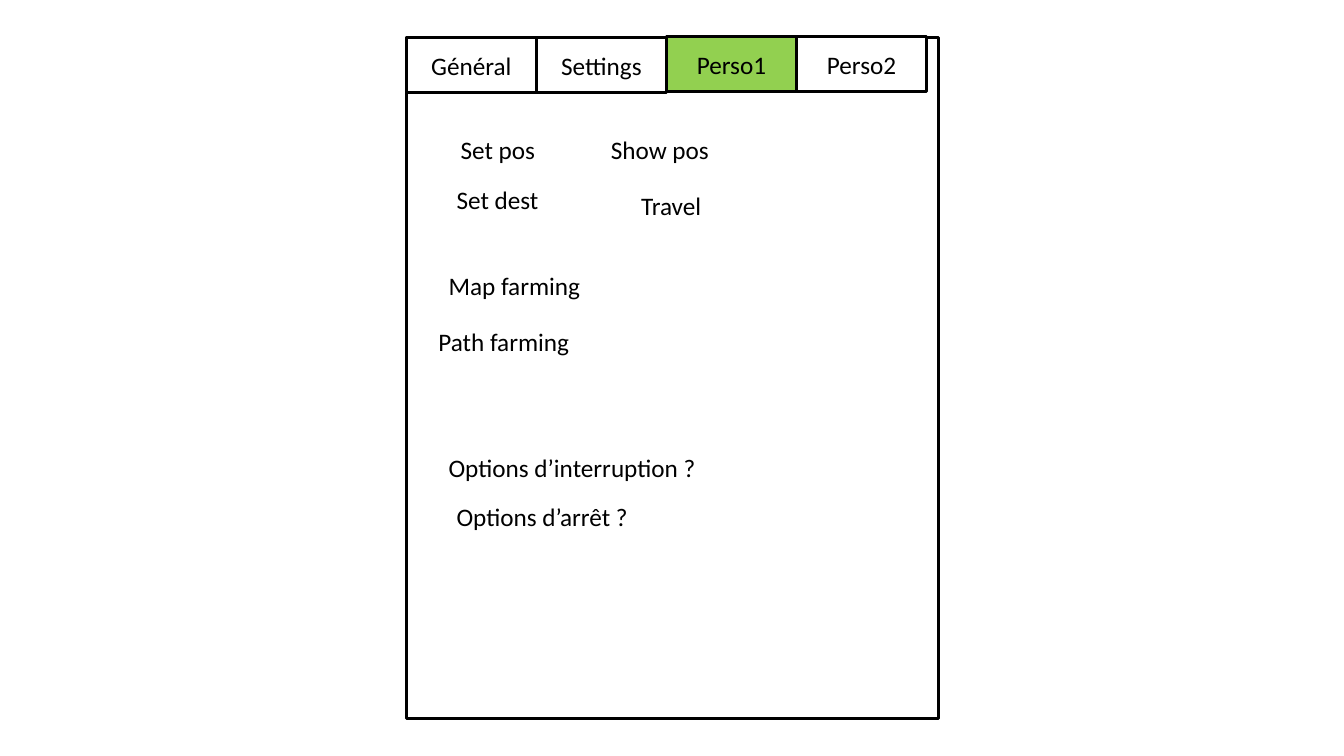
from dataclasses import dataclass

from pptx import Presentation
from pptx.dml.color import RGBColor
from pptx.enum.shapes import MSO_SHAPE
from pptx.enum.text import MSO_ANCHOR, MSO_AUTO_SIZE, PP_ALIGN
from pptx.shapes.autoshape import Shape
from pptx.slide import Slide
from pptx.text.text import TextFrame
from pptx.util import Inches, Pt

RECTANGLE = MSO_SHAPE.RECTANGLE
MIDDLE = MSO_ANCHOR.MIDDLE
CENTER, LEFT = PP_ALIGN.CENTER, PP_ALIGN.LEFT
FIT_TEXT, NO_FIT = MSO_AUTO_SIZE.SHAPE_TO_FIT_TEXT, MSO_AUTO_SIZE.NONE


@dataclass(frozen=True)
class Theme:
    font: str = "Calibri"
    size: Pt = Pt(18)
    border: Pt = Pt(2.25)
    ink: RGBColor = RGBColor(0, 0, 0)
    paper: RGBColor = RGBColor(255, 255, 255)
    active: RGBColor = RGBColor(0x92, 0xD0, 0x50)


@dataclass(frozen=True)
class Tab:
    name: str
    top: float
    active: bool = False


@dataclass(frozen=True)
class Label:
    text: str
    left: float
    top: float
    width: float


THEME = Theme()
WINDOW_LEFT, WINDOW_TOP, WINDOW_WIDTH, WINDOW_HEIGHT = 4.03, 0.37, 5.28, 6.76
TAB_WIDTH, TAB_HEIGHT = 1.29, 0.55
LABEL_HEIGHT = 0.4

TABS = [
    Tab("Général", 0.37),
    Tab("Settings", 0.37),
    Tab("Perso1", 0.36, active=True),
    Tab("Perso2", 0.36),
]
LABELS = [
    Label("Set pos", 4.47, 1.28, 0.95),
    Label("Show pos", 5.96, 1.28, 1.19),
    Label("Set dest", 4.43, 1.78, 1.02),
    Label("Travel", 6.26, 1.84, 0.8),
    Label("Map farming", 4.35, 2.63, 1.52),
    Label("Path farming", 4.25, 3.19, 1.51),
    Label("Options d’interruption ?", 4.35, 4.44, 2.68),
    Label("Options d’arrêt ?", 4.43, 4.92, 1.92),
]


def write(frame: TextFrame, text: str, align: PP_ALIGN) -> None:
    para = frame.paragraphs[0]
    para.text = text
    para.alignment = align
    para.font.name = THEME.font
    para.font.size = THEME.size
    para.font.color.rgb = THEME.ink


def add_frame(page: Slide, left: float, top: float, width: float, height: float) -> Shape:
    box = page.shapes.add_shape(
        RECTANGLE, Inches(left), Inches(top), Inches(width), Inches(height)
    )
    box.shadow.inherit = False
    box.fill.background()
    box.line.color.rgb = THEME.ink
    box.line.width = THEME.border
    return box


def add_tab(page: Slide, tab: Tab, left: float) -> None:
    box = add_frame(page, left, tab.top, TAB_WIDTH, TAB_HEIGHT)
    box.fill.solid()
    box.fill.fore_color.rgb = THEME.active if tab.active else THEME.paper
    box.text_frame.vertical_anchor = MIDDLE
    write(box.text_frame, tab.name, CENTER)


def add_label(page: Slide, label: Label) -> None:
    box = page.shapes.add_textbox(
        Inches(label.left), Inches(label.top), Inches(label.width), Inches(LABEL_HEIGHT)
    )
    box.text_frame.word_wrap = False
    box.text_frame.auto_size = FIT_TEXT
    write(box.text_frame, label.text, LEFT)


deck = Presentation()
deck.slide_width, deck.slide_height = Inches(13.33), Inches(7.5)
page = deck.slides.add_slide(deck.slide_layouts[6])

# Window outline
add_frame(page, WINDOW_LEFT, WINDOW_TOP, WINDOW_WIDTH, WINDOW_HEIGHT)

# Tab bar
for index, tab in enumerate(TABS):
    add_tab(page, tab, WINDOW_LEFT + index * TAB_WIDTH)

# Commands and options of the active tab
for label in LABELS:
    add_label(page, label)

deck.save("out.pptx")
